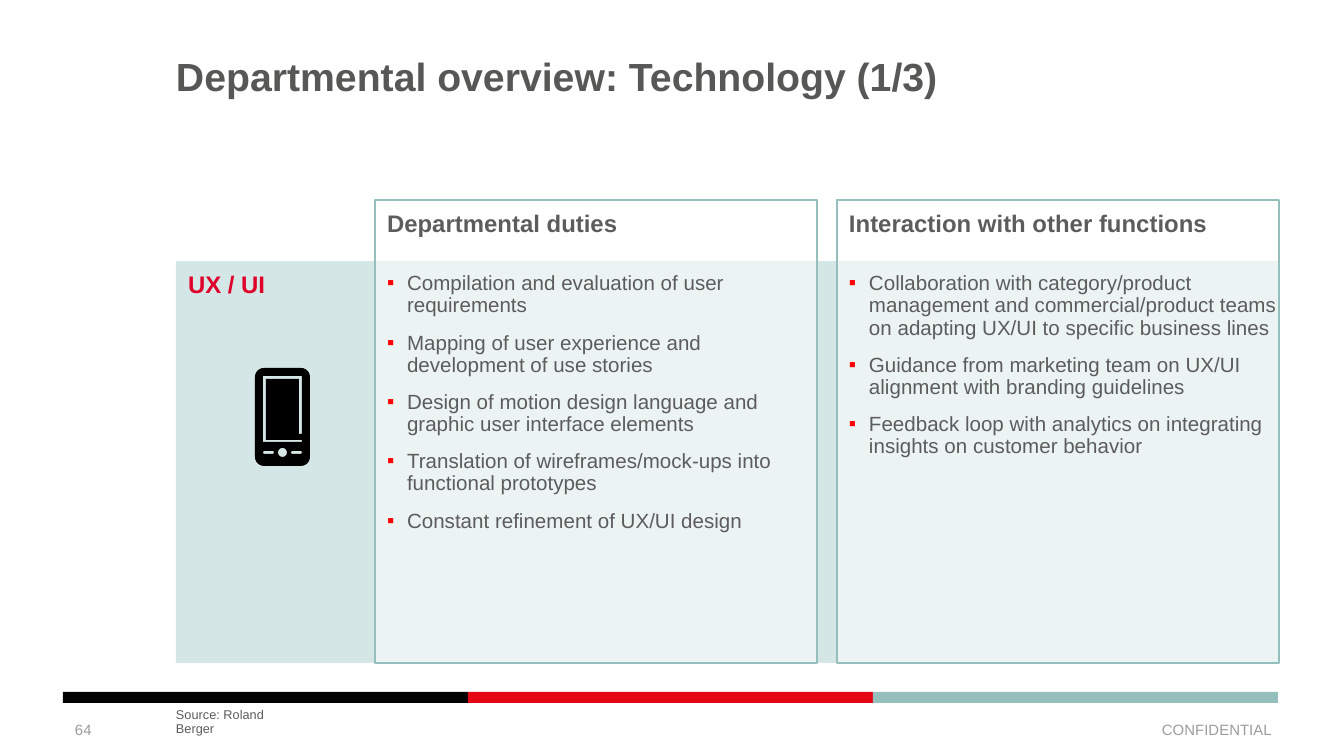
import math
from dataclasses import dataclass

import pptx
import pptx.dml.color
import pptx.enum.shapes
import pptx.enum.text
import pptx.oxml
import pptx.oxml.ns
import pptx.util
from pptx.shapes.autoshape import Shape
from pptx.slide import Slide
from pptx.text.text import TextFrame

RGBColor = pptx.dml.color.RGBColor
Align = pptx.enum.text.PP_ALIGN
Anchor = pptx.enum.text.MSO_ANCHOR

BLACK = RGBColor(0x00, 0x00, 0x00)
WHITE = RGBColor(0xFF, 0xFF, 0xFF)
RED = RGBColor(0xE3, 0x06, 0x13)
HEADING_RED = RGBColor(0xDE, 0x00, 0x2B)
BULLET_RED = RGBColor(0xFF, 0x00, 0x00)
TEAL = RGBColor(0x94, 0xBF, 0xBD)
PALE_TEAL = RGBColor(0xD4, 0xE6, 0xE5)
TITLE_GREY = RGBColor(0x57, 0x57, 0x56)
TEXT_GREY = RGBColor(0x5C, 0x5C, 0x5C)
FOOTER_GREY = RGBColor(0x9C, 0x9C, 0x9C)

EMU_PER_PX = 914400 / 134.4
FONT = "Arial"
PANEL_OPACITY = 55
BULLET_INDENT = 20


@dataclass(frozen=True)
class Box:
    left: int
    top: int
    width: int
    height: int


@dataclass(frozen=True)
class Insets:
    left: int = 0
    top: int = 0
    right: int = 0
    bottom: int = 0


@dataclass(frozen=True)
class TextStyle:
    size: float
    color: RGBColor
    bold: bool = False
    align: Align = Align.LEFT
    line_spacing: float = 0.9


@dataclass(frozen=True)
class Panel:
    heading: str
    points: tuple[str, ...]


TITLE = TextStyle(21, TITLE_GREY, bold=True)
HEADING = TextStyle(12.8, TEXT_GREY, bold=True)
TEAM = TextStyle(12.8, HEADING_RED, bold=True)
POINT = TextStyle(11, TEXT_GREY)
SOURCE = TextStyle(6.8, TEXT_GREY)
PAGE = TextStyle(8, FOOTER_GREY, line_spacing=1.0)
CONFIDENTIAL = TextStyle(8, FOOTER_GREY, align=Align.RIGHT, line_spacing=1.0)
FOOTER_INSETS = Insets(13, 7, 13, 7)

BAND = Box(176, 261, 1103, 402)
FIRST_PANEL = Box(375, 200, 442, 463)
PANEL_PITCH = 462
PANELS = (
    Panel("Departmental duties", (
        "Compilation and evaluation of user requirements",
        "Mapping of user experience and development of use stories",
        "Design of motion design language and graphic user interface elements",
        "Translation of wireframes/mock-ups into functional prototypes",
        "Constant refinement of UX/UI design",
    )),
    Panel("Interaction with other functions", (
        "Collaboration with category/product management and commercial/product "
        "teams on adapting UX/UI to specific business lines",
        "Guidance from marketing team on UX/UI alignment with branding guidelines",
        "Feedback loop with analytics on integrating insights on customer behavior",
    )),
)


def px(length: float) -> pptx.util.Emu:
    return pptx.util.Emu(round(length * EMU_PER_PX))


def place(shape: Shape, box: Box) -> None:
    shape.left, shape.top = px(box.left), px(box.top)
    shape.width, shape.height = px(box.width), px(box.height)


def add_bullet(paragraph) -> None:
    properties = paragraph._p.get_or_add_pPr()
    properties.set("marL", str(px(BULLET_INDENT)))
    properties.set("indent", str(-px(BULLET_INDENT)))
    namespace = pptx.oxml.ns.nsdecls("a")
    for xml in (f'<a:buClr {namespace}><a:srgbClr val="{BULLET_RED}"/></a:buClr>',
                f'<a:buFont {namespace} typeface="{FONT}"/>',
                f'<a:buChar {namespace} char="▪"/>'):
        properties.append(pptx.oxml.parse_xml(xml))


def write(frame: TextFrame, lines: tuple[str, ...], style: TextStyle,
          insets: Insets = Insets(), anchor: Anchor = Anchor.TOP,
          bulleted: bool = False) -> None:
    frame.word_wrap = True
    frame.auto_size = pptx.enum.text.MSO_AUTO_SIZE.NONE
    frame.vertical_anchor = anchor
    frame.margin_left, frame.margin_top = px(insets.left), px(insets.top)
    frame.margin_right, frame.margin_bottom = px(insets.right), px(insets.bottom)
    for index, line in enumerate(lines):
        paragraph = frame.add_paragraph() if index else frame.paragraphs[0]
        paragraph.text = line
        if bulleted:
            paragraph.level = 1
            add_bullet(paragraph)
        paragraph.alignment = style.align
        paragraph.line_spacing = style.line_spacing
        paragraph.space_before = pptx.util.Pt(6 if index else 0)
        paragraph.space_after = pptx.util.Pt(2 if bulleted else 0)
        paragraph.font.name = FONT
        paragraph.font.size = pptx.util.Pt(style.size)
        paragraph.font.bold = style.bold
        paragraph.font.color.rgb = style.color


def add_rectangle(slide: Slide, box: Box, fill: RGBColor) -> Shape:
    shape = slide.shapes.add_shape(
        pptx.enum.shapes.MSO_SHAPE.RECTANGLE, 0, 0, 0, 0)
    place(shape, box)
    shape.shadow.inherit = False
    shape.fill.solid()
    shape.fill.fore_color.rgb = fill
    shape.line.fill.background()
    return shape


def add_label(slide: Slide, box: Box, text: str, style: TextStyle,
              insets: Insets = Insets(), anchor: Anchor = Anchor.MIDDLE) -> None:
    label = slide.shapes.add_textbox(0, 0, 0, 0)
    place(label, box)
    write(label.text_frame, (text,), style, insets, anchor)


def add_panel(slide: Slide, box: Box, panel: Panel, points: Shape) -> None:
    frame = add_rectangle(slide, box, WHITE)
    color = frame.element.find(".//" + pptx.oxml.ns.qn("a:srgbClr"))
    color.append(pptx.oxml.parse_xml(
        f'<a:alpha {pptx.oxml.ns.nsdecls("a")} val="{PANEL_OPACITY * 1000}"/>'))
    frame.line.color.rgb = TEAL
    frame.line.width = pptx.util.Pt(1.25)
    write(frame.text_frame, (panel.heading,), HEADING, Insets(12, 12, 0, 8))

    place(points, Box(box.left, BAND.top, box.width, BAND.height))
    write(points.text_frame, panel.points, POINT, Insets(12, 12), bulleted=True)
    # Bring the list in front of its translucent panel.
    points.element.getparent().append(points.element)


def rounded_outline(box: Box, radius: float) -> list[tuple[float, float]]:
    """Corner points of a rounded rectangle, clockwise from the lower right."""
    left, right = box.left + radius, box.left + box.width - radius
    top, bottom = box.top + radius, box.top + box.height - radius
    centers = ((right, bottom), (left, bottom), (left, top), (right, top))
    outline = []
    for corner, (x, y) in enumerate(centers):
        for step in range(7):
            angle = math.radians(90 * corner + 15 * step)
            outline.append((x + radius * math.cos(angle),
                            y + radius * math.sin(angle)))
    return outline


def add_phone(slide: Slide) -> None:
    screen_edge = [(263, 376), (302, 376), (302, 434), (299, 434), (299, 379),
                   (266, 379), (266, 440), (302, 440), (302, 442), (263, 442)]
    outlines = (
        rounded_outline(Box(255, 368, 55, 98), 9),
        screen_edge,
        rounded_outline(Box(263, 451, 11, 3), 1.5),
        rounded_outline(Box(291, 451, 11, 3), 1.5),
        rounded_outline(Box(278, 448, 9, 9), 4.5),
    )
    units = 100
    builder = None
    for outline in outlines:
        first, *rest = [(x * units, y * units) for x, y in outline]
        if builder is None:
            builder = slide.shapes.build_freeform(*first, scale=EMU_PER_PX / units)
        else:
            builder.move_to(*first)
        builder.add_line_segments(rest, close=True)
    phone = builder.convert_to_shape()
    phone.shadow.inherit = False
    phone.fill.solid()
    phone.fill.fore_color.rgb = BLACK
    phone.line.fill.background()


def main() -> None:
    deck = pptx.Presentation()
    deck.slide_width, deck.slide_height = px(1344), px(756)
    slide = deck.slides.add_slide(deck.slide_layouts.get_by_name("Two Content"))
    title, *point_lists = slide.placeholders

    for index, color in enumerate((BLACK, RED, TEAL)):
        add_rectangle(slide, Box(63 + 405 * index, 692, 405, 11), color)
    place(title, Box(176, 58, 1087, 126))
    write(title.text_frame, ("Departmental overview: Technology (1/3)",), TITLE)

    band = add_rectangle(slide, BAND, PALE_TEAL)
    write(band.text_frame, ("UX / UI",), TEAM, Insets(12, 12))
    for index, (panel, points) in enumerate(zip(PANELS, point_lists)):
        box = Box(FIRST_PANEL.left + PANEL_PITCH * index, FIRST_PANEL.top,
                  FIRST_PANEL.width, FIRST_PANEL.height)
        add_panel(slide, box, panel, points)
    add_phone(slide)

    add_label(slide, Box(62, 710, 114, 40), "64", PAGE, FOOTER_INSETS)
    add_label(slide, Box(972, 710, 313, 40), "CONFIDENTIAL", CONFIDENTIAL,
              FOOTER_INSETS)
    add_label(slide, Box(176, 710, 117, 26), "Source: Roland Berger", SOURCE,
              anchor=Anchor.BOTTOM)
    deck.save("out.pptx")


if __name__ == "__main__":
    main()
